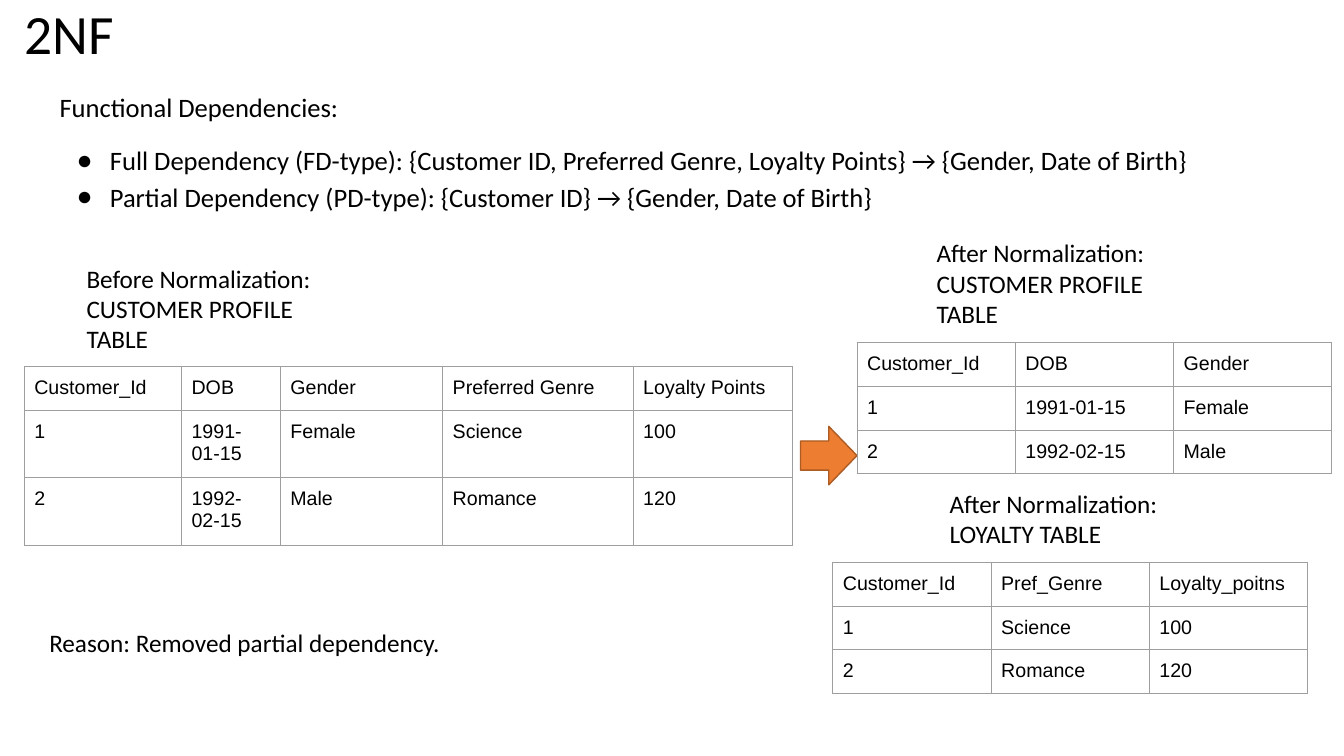
from lxml.etree import SubElement
from pptx import Presentation
from pptx.dml.color import RGBColor
from pptx.enum.shapes import MSO_SHAPE
from pptx.enum.text import MSO_ANCHOR, MSO_AUTO_SIZE, PP_ALIGN
from pptx.oxml import parse_xml
from pptx.oxml.ns import nsdecls, qn
from pptx.util import Pt

EMU_PER_PX = 9144
BLACK, GRID = "000000", "9E9E9E"
ARROW_FILL, ARROW_LINE = "ED7D31", "AC5B23"
ROW_HEIGHT = 42


def px(length):
    """Turn whole pixels, 100 to the inch, into EMU."""
    return length * EMU_PER_PX


def colour(value):
    """Turn a hex string into a colour."""
    return RGBColor.from_string(value)


def apply_format(target, values):
    """Set every attribute named in a dict of format values."""
    for attribute, value in values.items():
        setattr(target, attribute, value)


def place(part, box):
    """Move a part to its box of left, top, width and height."""
    apply_format(part, dict(zip(("left", "top", "width", "height"), map(px, box))))


def insets(side, end):
    """Give the four margins of a text area."""
    return {
        "margin_left": px(side), "margin_right": px(side),
        "margin_top": px(end), "margin_bottom": px(end),
    }


def write(paragraph, wording, size, typeface="Calibri", **paragraph_format):
    """Put formatted wording in a paragraph."""
    apply_format(paragraph, paragraph_format)
    run = paragraph.add_run()
    run.text = wording
    apply_format(run.font, {"size": Pt(size), "name": typeface, "bold": False})
    run.font.color.rgb = colour(BLACK)


def set_bullet(paragraph, symbol=None):
    """Give a paragraph a hanging bullet, or take its bullet away."""
    properties = paragraph._p.get_or_add_pPr()
    properties.set("marL", str(px(50) if symbol else 0))
    properties.set("indent", str(px(-33) if symbol else 0))
    if not symbol:
        SubElement(properties, qn("a:buNone"))
        return
    bullet_colour = SubElement(properties, qn("a:buClr"))
    SubElement(bullet_colour, qn("a:srgbClr")).set("val", BLACK)
    SubElement(properties, qn("a:buChar")).set("char", symbol)


def add_heading(slide, box, wording):
    """Fill the title placeholder."""
    heading = slide.shapes.title
    place(heading, box)
    apply_format(heading.text_frame, {
        "auto_size": MSO_AUTO_SIZE.NONE, "word_wrap": True,
        "vertical_anchor": MSO_ANCHOR.MIDDLE, **insets(10, 5),
    })
    write(heading.text_frame.paragraphs[0], wording, 39.6,
          alignment=PP_ALIGN.LEFT, line_spacing=0.9)


def add_dependencies(slide, box, intro, dependencies):
    """Fill the body placeholder with an introduction and a bulleted list."""
    body = slide.placeholders[1]
    place(body, box)
    frame = body.text_frame
    apply_format(frame, {
        "auto_size": MSO_AUTO_SIZE.NONE, "word_wrap": True,
        "vertical_anchor": MSO_ANCHOR.TOP, **insets(10, 10),
    })
    opening = frame.paragraphs[0]
    set_bullet(opening)
    write(opening, intro, 19, space_before=Pt(0), line_spacing=1.0)
    for index, dependency in enumerate(dependencies):
        item = frame.add_paragraph()
        set_bullet(item, "●")
        write(item, dependency, 19, line_spacing=1.15,
              space_before=Pt(0 if index else 12))


def add_caption(slide, box, lines):
    """Add a text box with one paragraph for each line."""
    caption = slide.shapes.add_textbox(*map(px, box))
    frame = caption.text_frame
    apply_format(frame, {
        "word_wrap": True, "auto_size": MSO_AUTO_SIZE.SHAPE_TO_FIT_TEXT, **insets(10, 5),
    })
    for index, line in enumerate(lines):
        paragraph = frame.add_paragraph() if index else frame.paragraphs[0]
        write(paragraph, line, 18)


def add_borders(cell):
    """Draw a thin line on all four sides of a cell."""
    properties = cell._tc.get_or_add_tcPr()
    for position, side in enumerate("LRTB"):
        properties.insert(position, parse_xml(
            f'<a:ln{side} {nsdecls("a")} w="9525"><a:solidFill>'
            f'<a:srgbClr val="{GRID}"/></a:solidFill></a:ln{side}>'
        ))


def add_records(slide, left, top, widths, records):
    """Add a plain bordered table whose first record holds the column names."""
    table = slide.shapes.add_table(
        len(records), len(widths), px(left), px(top),
        px(sum(widths)), px(ROW_HEIGHT * len(records)),
    ).table
    apply_format(table, {"first_row": False, "horz_banding": False})
    for column, width in zip(table.columns, widths):
        column.width = px(width)
    for row, record in zip(table.rows, records):
        row.height = px(ROW_HEIGHT)
        for cell, value in zip(row.cells, record):
            apply_format(cell, insets(10, 10))
            cell.fill.background()
            add_borders(cell)
            write(cell.text_frame.paragraphs[0], value, 14, "Arial")


def add_arrow(slide, box):
    """Add the arrow that leads from the old table to the new ones."""
    arrow = slide.shapes.add_shape(MSO_SHAPE.RIGHT_ARROW, *map(px, box))
    arrow.shadow.inherit = False
    arrow.fill.solid()
    arrow.fill.fore_color.rgb = colour(ARROW_FILL)
    arrow.line.color.rgb = colour(ARROW_LINE)
    arrow.line.width = Pt(1)


def build_normal_form(slide):
    """Lay out the second normal form slide."""
    add_heading(slide, (14, 7, 199, 59), "2NF")
    add_caption(slide, (76, 256, 261, 101),
                ["Before Normalization:", "CUSTOMER PROFILE TABLE"])
    add_arrow(slide, (794, 423, 56, 58))
    add_dependencies(slide, (49, 80, 1266, 175), "Functional Dependencies:", [
        "Full Dependency (FD-type): {Customer ID, Preferred Genre, Loyalty Points}"
        " → {Gender, Date of Birth}",
        "Partial Dependency (PD-type): {Customer ID} → {Gender, Date of Birth}",
    ])
    add_records(slide, 24, 364, [156, 98, 161, 189, 158], [
        ["Customer_Id", "DOB", "Gender", "Preferred Genre", "Loyalty Points"],
        ["1", "1991-01-15", "Female", "Science", "100"],
        ["2", "1992-02-15", "Male", "Romance", "120"],
    ])
    add_caption(slide, (919, 231, 261, 101),
                ["After Normalization:", "CUSTOMER PROFILE TABLE"])
    add_records(slide, 850, 340, [157] * 3, [
        ["Customer_Id", "DOB", "Gender"],
        ["1", "1991-01-15", "Female"],
        ["2", "1992-02-15", "Male"],
    ])
    add_caption(slide, (932, 479, 261, 71), ["After Normalization:", "LOYALTY TABLE"])
    add_records(slide, 826, 558, [157] * 3, [
        ["Customer_Id", "Pref_Genre", "Loyalty_poitns"],
        ["1", "Science", "100"],
        ["2", "Romance", "120"],
    ])
    add_caption(slide, (39, 617, 472, 40), ["Reason: Removed partial dependency."])


def main():
    """Build and save the presentation."""
    presentation = Presentation()
    apply_format(presentation, {"slide_width": px(1333), "slide_height": px(750)})
    build_normal_form(presentation.slides.add_slide(presentation.slide_layouts[1]))
    presentation.save("out.pptx")


if __name__ == "__main__":
    main()
